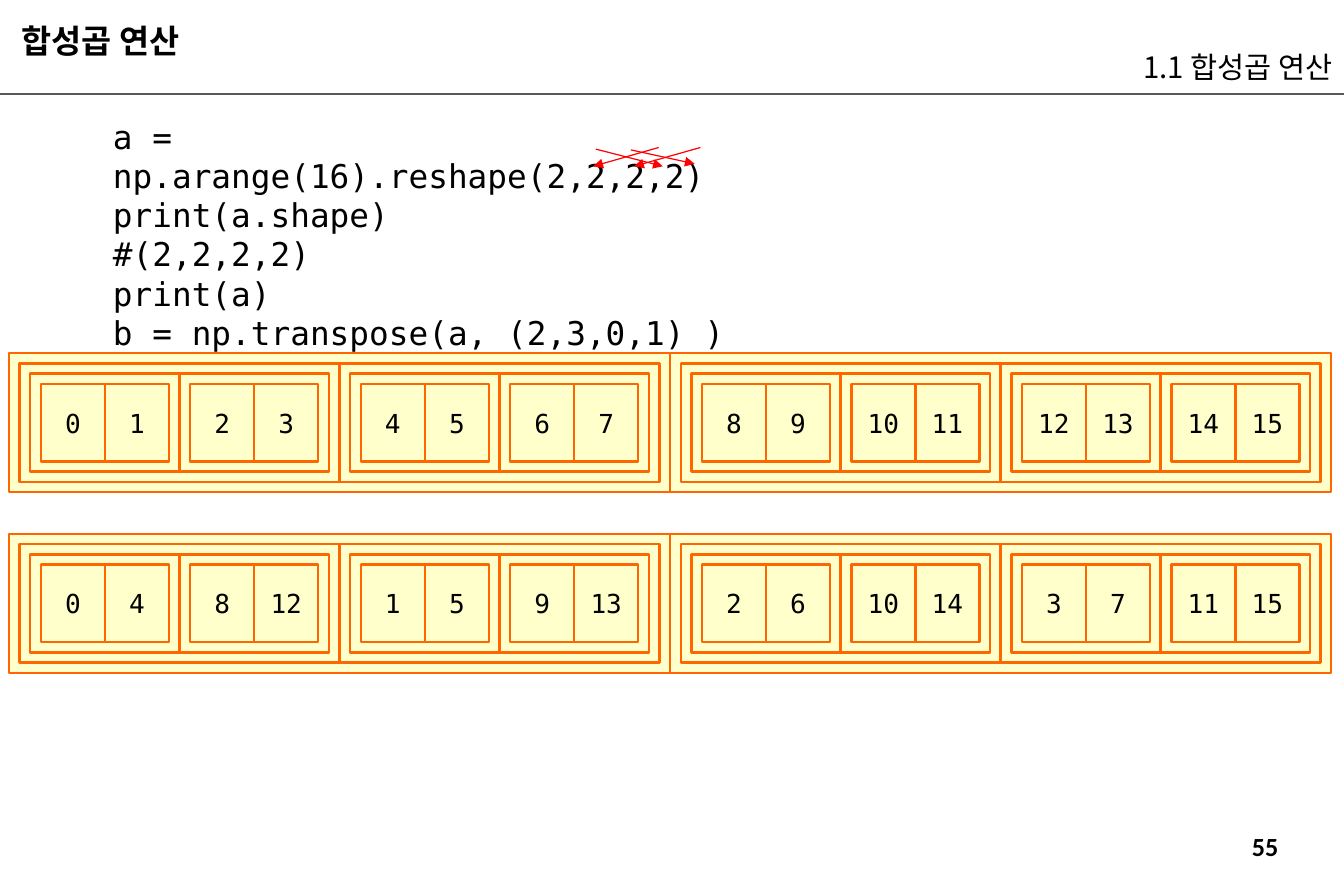
from lxml import etree
from pptx import Presentation
from pptx.dml.color import RGBColor
from pptx.enum.shapes import MSO_CONNECTOR, MSO_SHAPE
from pptx.enum.text import MSO_ANCHOR, MSO_AUTO_SIZE, PP_ALIGN
from pptx.oxml.ns import qn
from pptx.util import Pt

STRAIGHT = MSO_CONNECTOR.STRAIGHT
RECTANGLE = MSO_SHAPE.RECTANGLE
TOP, MIDDLE, BOTTOM = MSO_ANCHOR.TOP, MSO_ANCHOR.MIDDLE, MSO_ANCHOR.BOTTOM
NO_AUTOFIT = MSO_AUTO_SIZE.NONE
LEFT, CENTER, RIGHT = PP_ALIGN.LEFT, PP_ALIGN.CENTER, PP_ALIGN.RIGHT

BLACK = RGBColor(0x00, 0x00, 0x00)
GRAY = RGBColor(0x59, 0x59, 0x59)
RED = RGBColor(0xFF, 0x00, 0x00)
ORANGE = RGBColor(0xFF, 0x66, 0x00)
CREAM = RGBColor(0xFF, 0xFF, 0xCC)

LATIN = "Calibri"
KOREAN = "Noto Sans CJK KR"
MONO = "DejaVu Sans Mono"

SLIDE_WIDTH, SLIDE_HEIGHT = 822.24, 540
INSET_X, INSET_Y = 6.5, 6.25
CODE = [
    "a = np.arange(16).reshape(2,2,2,2)",
    "print(a.shape)\v#(2,2,2,2)",
    "print(a)",
    "b = np.transpose(a, (2,3,0,1) )",
]
ORIGINAL_VALUES = list(range(16))
TRANSPOSED_VALUES = [column + 4 * row for column in range(4) for row in range(4)]


def format_text(shape, size, font, align=LEFT, anchor=TOP, bold=False):
    """Apply one text style to every run of a shape."""
    frame = shape.text_frame
    frame.word_wrap = True
    frame.auto_size = NO_AUTOFIT
    frame.vertical_anchor = anchor
    for paragraph in frame.paragraphs:
        paragraph.alignment = align
        for run in paragraph.runs:
            run.font.size = Pt(size)
            run.font.bold = bold
            run.font.name = font
            run.font.color.rgb = BLACK
            properties = run.font._element
            etree.SubElement(properties, qn("a:ea")).set("typeface", KOREAN)


def add_text(slide, box, text, size, font, **style):
    """Add a text box with one style."""
    shape = slide.shapes.add_textbox(*map(Pt, box))
    shape.text_frame.text = text
    format_text(shape, size, font, **style)
    return shape


def add_line(slide, start, end, color, width, arrow=False):
    """Add a straight line, with an arrowhead at its end if asked."""
    line = slide.shapes.add_connector(STRAIGHT, *map(Pt, start + end))
    line.line.color.rgb = color
    line.line.width = Pt(width)
    if arrow:
        outline = line.line._get_or_add_ln()
        etree.SubElement(outline, qn("a:tailEnd")).set("type", "triangle")
    etree.SubElement(line._element.spPr, qn("a:effectLst"))


def add_header(slide, left, top, width, height):
    """Place the title, the section name and the rule below them."""
    title = slide.shapes.title
    title.left, title.top = Pt(left + 6), Pt(top + 6.5)
    title.width, title.height = Pt(466), Pt(31.5)
    title.text_frame.text = "합성곱 연산"
    format_text(title, 20, LATIN, anchor=BOTTOM, bold=True)
    section = add_text(slide, (left + width - 382, top + 21.5, 382, 31.5),
                       "1.1 합성곱 연산", 18, KOREAN, align=RIGHT, anchor=BOTTOM)
    for shape in (title, section):
        shape.text_frame.margin_top = shape.text_frame.margin_bottom = Pt(1.5)
    add_line(slide, (left, top + height), (left + width, top + height), GRAY, 1.5)


def add_code(slide, left, top, width, height):
    """Place the code listing and the arrows that swap its axes."""
    add_text(slide, (left, top, width, height), "\n".join(CODE), 20, MONO)
    for start_x, start_y, end_x, end_y in [
        (341, 22.5, 301, 34), (366.5, 22.5, 326, 34),
        (302.5, 23.5, 343.5, 34), (324, 24, 363, 32.5),
    ]:
        add_line(slide, (left + start_x, top + start_y),
                 (left + end_x, top + end_y), RED, 0.75, arrow=True)


def add_nested_array(slide, left, top, width, height, values):
    """Split the box in two halves and nest the values inside each half."""
    half_width, half_count = width / 2, len(values) // 2
    for index in range(2):
        half_left = left + index * half_width
        half_values = values[index * half_count:(index + 1) * half_count]
        block = slide.shapes.add_shape(
            RECTANGLE, *map(Pt, (half_left, top, half_width, height)))
        block.shadow.inherit = False
        block.fill.solid()
        block.fill.fore_color.rgb = CREAM
        block.line.color.rgb = ORANGE
        block.line.width = Pt(1.5)
        if half_count == 1:
            block.text_frame.text = str(half_values[0])
            format_text(block, 16, MONO, align=CENTER, anchor=MIDDLE)
        else:
            add_nested_array(slide, half_left + INSET_X, top + INSET_Y,
                             half_width - 2 * INSET_X, height - 2 * INSET_Y,
                             half_values)


def main():
    """Build the transpose slide and save it."""
    presentation = Presentation()
    presentation.slide_width = Pt(SLIDE_WIDTH)
    presentation.slide_height = Pt(SLIDE_HEIGHT)
    slide = presentation.slides.add_slide(presentation.slide_layouts[5])
    add_header(slide, 0, 0, SLIDE_WIDTH, 57.6)
    add_code(slide, 62, 67.7, 392.5, 147)
    add_nested_array(slide, 5.5, 216, 809, 85, ORIGINAL_VALUES)
    add_nested_array(slide, 5.5, 326.5, 809, 85, TRANSPOSED_VALUES)
    add_text(slide, (731, 504, 86, 28), "55", 16, LATIN, align=CENTER, bold=True)
    presentation.save("out.pptx")


if __name__ == "__main__":
    main()
